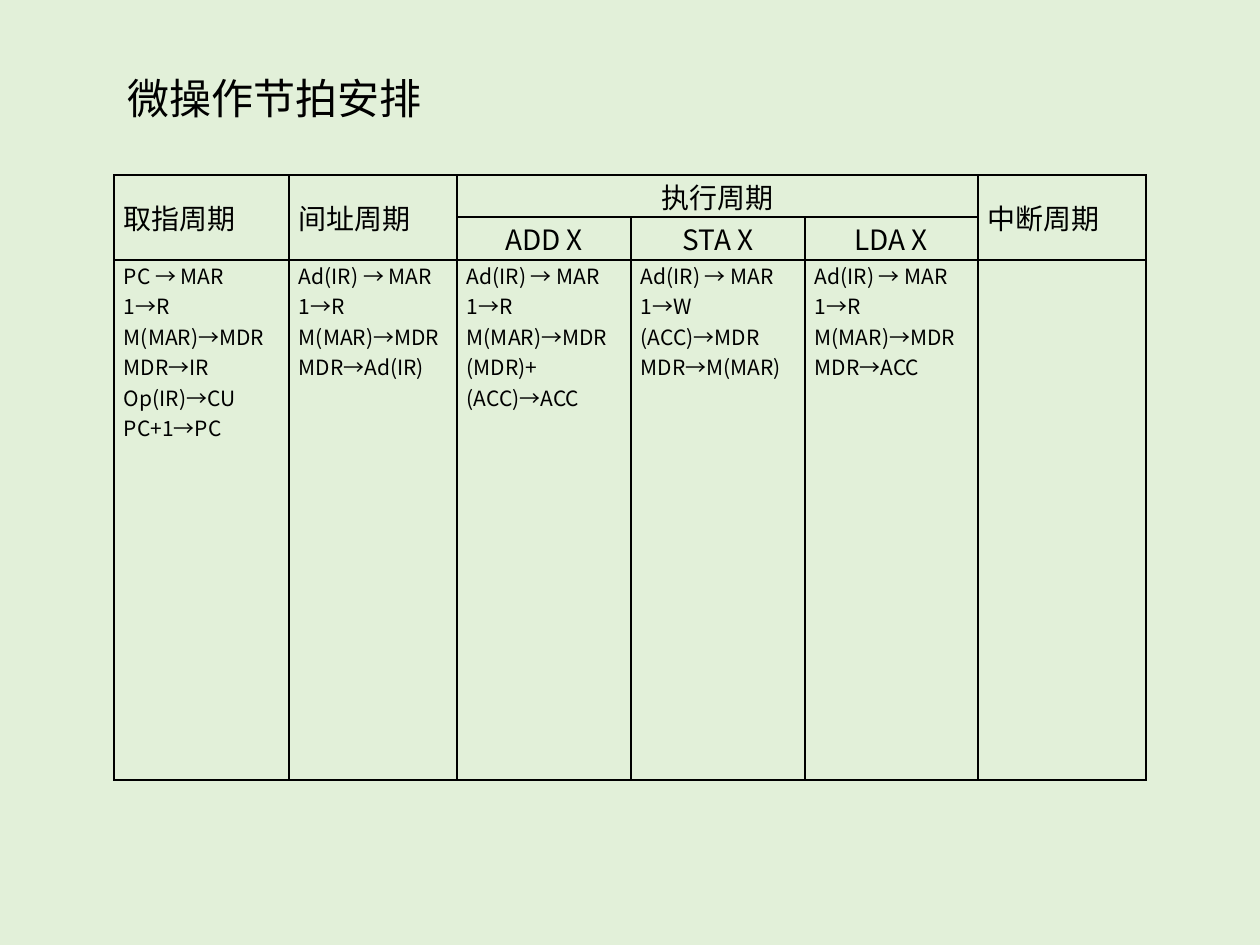
from lxml.etree import SubElement
from pptx import Presentation
from pptx.dml.color import RGBColor
from pptx.enum.text import MSO_ANCHOR, PP_ALIGN
from pptx.oxml.ns import qn
from pptx.util import Pt

PX = 914400 // 126
FONT = "Noto Sans CJK SC"
COLORS = {"back": "E2F0D9", "ink": "000000"}
WIDTHS = [175, 168, 174, 174, 173, 168]
HEIGHTS = [42, 43, 520]
HEADS = [
    (0, 0, 1, 0, "取指周期", PP_ALIGN.JUSTIFY),
    (0, 1, 1, 1, "间址周期", PP_ALIGN.JUSTIFY),
    (0, 2, 0, 4, "执行周期", PP_ALIGN.CENTER),
    (0, 5, 1, 5, "中断周期", PP_ALIGN.JUSTIFY),
    (1, 2, 1, 2, "ADD X", PP_ALIGN.CENTER),
    (1, 3, 1, 3, "STA X", PP_ALIGN.CENTER),
    (1, 4, 1, 4, "LDA X", PP_ALIGN.CENTER),
]
STEPS = [
    ["PC → MAR", "1→R", "M(MAR)→MDR", "MDR→IR", "Op(IR)→CU", "PC+1→PC"],
    ["Ad(IR) → MAR", "1→R", "M(MAR)→MDR", "MDR→Ad(IR)"],
    ["Ad(IR) → MAR", "1→R", "M(MAR)→MDR", "(MDR)+(ACC)→ACC"],
    ["Ad(IR) → MAR", "1→W", "(ACC)→MDR", "MDR→M(MAR)"],
    ["Ad(IR) → MAR", "1→R", "M(MAR)→MDR", "MDR→ACC"],
]


def px(*sizes):
    return [size * PX for size in sizes]


def write(frame, lines, size, align):
    frame.text = "\n".join(lines)
    for para in frame.paragraphs:
        para.alignment = align
        font = para.font
        font.size = Pt(size)
        font.name = FONT
        font.color.rgb = RGBColor.from_string(COLORS["ink"])
        SubElement(font._element, qn("a:ea"), typeface=FONT)


def frame_cell(cell):
    props = cell._tc.get_or_add_tcPr()
    for side in ("L", "R", "T", "B"):
        line = SubElement(props, qn(f"a:ln{side}"), w=str(Pt(1)))
        fill = SubElement(line, qn("a:solidFill"))
        SubElement(fill, qn("a:srgbClr"), val=COLORS["ink"])
    cell.fill.background()
    cell.margin_left, cell.margin_right = px(10, 10)
    cell.margin_top = cell.margin_bottom = 0


def add_title(slide, left, top, width, height):
    title = slide.shapes.title
    title.left, title.top, title.width, title.height = px(left, top, width, height)
    frame = title.text_frame
    frame.word_wrap = True
    frame.vertical_anchor = MSO_ANCHOR.MIDDLE
    write(frame, ["微操作节拍安排"], 24, PP_ALIGN.LEFT)


def add_cycles(slide, left, top):
    box = px(left, top, sum(WIDTHS), sum(HEIGHTS))
    table = slide.shapes.add_table(len(HEIGHTS), len(WIDTHS), *box).table
    table.first_row = table.horz_banding = False
    for column, width in zip(table.columns, WIDTHS):
        column.width = width * PX
    for row, height in zip(table.rows, HEIGHTS):
        row.height = height * PX
    for cell in table.iter_cells():
        frame_cell(cell)
    for row, col, end_row, end_col, text, align in HEADS:
        cell = table.cell(row, col)
        if (row, col) != (end_row, end_col):
            cell.merge(table.cell(end_row, end_col))
        cell.vertical_anchor = MSO_ANCHOR.MIDDLE
        write(cell.text_frame, [text], 16, align)
    for col, lines in enumerate(STEPS):
        write(table.cell(2, col).text_frame, lines, 12, PP_ALIGN.JUSTIFY)


def main():
    deck = Presentation()
    deck.slide_width, deck.slide_height = px(1260, 945)
    slide = deck.slides.add_slide(deck.slide_layouts[5])
    fill = slide.background.fill
    fill.solid()
    fill.fore_color.rgb = RGBColor.from_string(COLORS["back"])
    add_title(slide, 115, 66, 703, 63)
    add_cycles(slide, 114, 175)
    deck.save("out.pptx")


if __name__ == "__main__":
    main()
